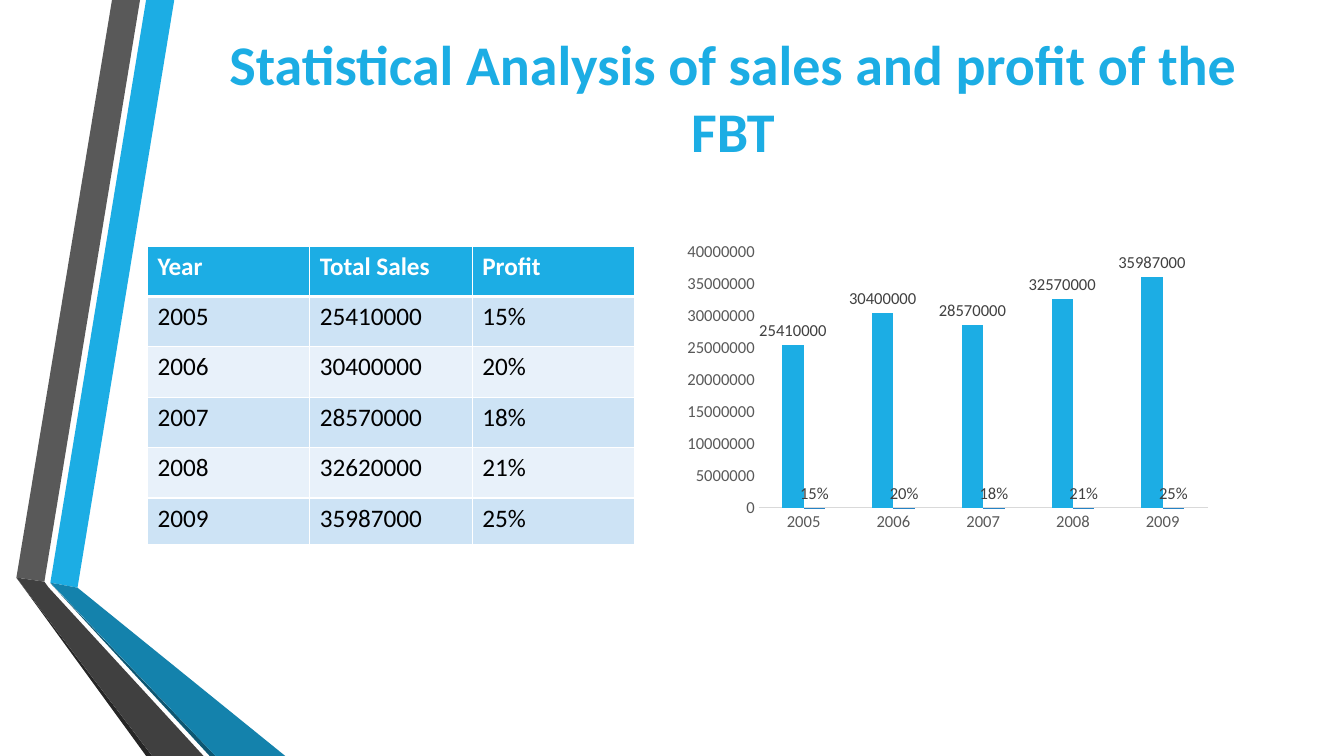
from lxml import etree
from pptx import Presentation
from pptx.chart.data import CategoryChartData
from pptx.dml.color import RGBColor
from pptx.enum.chart import XL_CHART_TYPE, XL_LABEL_POSITION, XL_TICK_MARK
from pptx.enum.text import MSO_ANCHOR, PP_ALIGN
from pptx.oxml.ns import qn
from pptx.util import Pt

COLUMNS = XL_CHART_TYPE.COLUMN_CLUSTERED
OUTSIDE_END = XL_LABEL_POSITION.OUTSIDE_END
NO_TICK = XL_TICK_MARK.NONE
MIDDLE = MSO_ANCHOR.MIDDLE
CENTER = PP_ALIGN.CENTER

FONT = "Calibri"
CHART_SIZE = Pt(11.97)
COLORS = {
    "sky": "1CADE4", "blue": "2683C6", "teal": "1482AC", "deep": "0E5772",
    "grey": "595959", "charcoal": "404040", "shadow": "262626",
    "axis": "D9D9D9", "band": "CDE3F5", "pale": "E8F1FA",
    "white": "FFFFFF", "black": "000000",
}


def style_font(font, size, color, bold=False):
    font.name, font.size, font.bold = FONT, size, bold
    font.color.rgb = RGBColor.from_string(COLORS[color])


def add_border(cell, side, width):
    """Add a solid white line on one side (lnL, lnR, lnT or lnB); call before filling."""
    line = etree.SubElement(cell._tc.get_or_add_tcPr(), qn(f"a:{side}"), w=str(Pt(width)))
    fill = etree.SubElement(line, qn("a:solidFill"))
    etree.SubElement(fill, qn("a:srgbClr"), val=COLORS["white"])


deck = Presentation()
deck.slide_width, deck.slide_height = Pt(960), Pt(540)
page = deck.slides.add_slide(deck.slide_layouts[6])

# Folded ribbons on the left edge, back to front
ribbons = [
    ("sky", [(36, 416.2), (55.4, 419.8), (124.5, 0), (104.4, 0)]),
    ("grey", [(100, 0), (80, 0), (11.7, 412.6), (31.7, 415.5)]),
    ("shadow", [(11.7, 412.6), (104.4, 540), (108.7, 540)]),
    ("deep", [(36, 416.6), (149.8, 540), (154, 540)]),
    ("teal", [(36, 416.2), (154, 540), (203.8, 540), (55.4, 419.8)]),
    ("charcoal", [(11.7, 412.6), (108.7, 540), (145.4, 540), (34.6, 419.5), (31.7, 415.5)]),
]
for color, corners in ribbons:
    points = [(Pt(x), Pt(y)) for x, y in corners]
    builder = page.shapes.build_freeform(*points[0])
    builder.add_line_segments(points[1:], close=True)
    ribbon = builder.convert_to_shape()
    ribbon.shadow.inherit = False
    ribbon.fill.solid()
    ribbon.fill.fore_color.rgb = RGBColor.from_string(COLORS[color])
    ribbon.line.fill.background()

# Title
title = page.shapes.add_textbox(Pt(129), Pt(0), Pt(789), Pt(138)).text_frame
title.word_wrap = True
title.vertical_anchor = MIDDLE
paragraph = title.paragraphs[0]
paragraph.alignment = CENTER
span = paragraph.add_run()
span.text = "Statistical Analysis of sales and profit of the FBT"
style_font(span.font, Pt(40), "sky", bold=True)

# Sales table
rows = [
    ("Year", "Total Sales", "Profit"),
    ("2005", "25410000", "15%"),
    ("2006", "30400000", "20%"),
    ("2007", "28570000", "18%"),
    ("2008", "32620000", "21%"),
    ("2009", "35987000", "25%"),
]
table = page.shapes.add_table(len(rows), 3, Pt(105.3), Pt(175.7), Pt(348), Pt(213)).table
for column in table.columns:
    column.width = Pt(116)
for r, texts in enumerate(rows):
    table.rows[r].height = Pt(33 if r == len(rows) - 1 else 36)
    header = r == 0
    fill_color = "sky" if header else "band" if r % 2 else "pale"
    for c, text in enumerate(texts):
        cell = table.cell(r, c)
        add_border(cell, "lnL", 1)
        add_border(cell, "lnR", 1)
        add_border(cell, "lnT", 3 if r == 1 else 1)
        add_border(cell, "lnB", 3 if header else 1)
        cell.fill.solid()
        cell.fill.fore_color.rgb = RGBColor.from_string(COLORS[fill_color])
        span = cell.text_frame.paragraphs[0].add_run()
        span.text = text
        style_font(span.font, Pt(18), "white" if header else "black", bold=header)

# Sales and profit chart
data = CategoryChartData()
data.categories = [row[0] for row in rows[1:]]
data.add_series("Series 1", [25410000, 30400000, 28570000, 32570000, 35987000], "General")
data.add_series("Series 2", [0.15, 0.2, 0.18, 0.21, 0.25], "0%")
chart = page.shapes.add_chart(COLUMNS, Pt(491), Pt(151), Pt(372), Pt(238), data).chart
chart.has_title = False
chart.has_legend = False
style_font(chart.font, CHART_SIZE, "grey")

plot = chart.plots[0]
plot.gap_width, plot.overlap = 219, 0
plot.vary_by_categories = False
for series, color, number_format in zip(plot.series, ("sky", "blue"), ("General", "0%")):
    series.format.fill.solid()
    series.format.fill.fore_color.rgb = RGBColor.from_string(COLORS[color])
    series.invert_if_negative = False
    labels = series.data_labels
    labels.show_value = True
    labels.position = OUTSIDE_END
    labels.number_format, labels.number_format_is_linked = number_format, False
    style_font(labels.font, CHART_SIZE, "charcoal")

for axis in (chart.category_axis, chart.value_axis):
    axis.major_tick_mark = axis.minor_tick_mark = NO_TICK
    axis.has_major_gridlines = False
    style_font(axis.tick_labels.font, CHART_SIZE, "grey")
chart.category_axis.format.line.width = Pt(0.75)
chart.category_axis.format.line.color.rgb = RGBColor.from_string(COLORS["axis"])
sales_axis = chart.value_axis
sales_axis.format.line.fill.background()
sales_axis.minimum_scale, sales_axis.maximum_scale = 0, 40000000
sales_axis.major_unit = 5000000
sales_axis.tick_labels.number_format = "General"
sales_axis.tick_labels.number_format_is_linked = False

# Fixed inner plot area, as fractions of the chart frame
plot_area = chart._chartSpace.chart.plotArea
for old_layout in plot_area.findall(qn("c:layout")):
    plot_area.remove(old_layout)
layout = etree.Element(qn("c:layout"))
plot_area.insert(0, layout)
manual = etree.SubElement(layout, qn("c:manualLayout"))
settings = [("layoutTarget", "inner"), ("xMode", "edge"), ("yMode", "edge"),
            ("x", 0.13), ("y", 0.12), ("w", 0.87), ("h", 0.77)]
for name, value in settings:
    etree.SubElement(manual, qn(f"c:{name}"), val=str(value))

deck.save("out.pptx")
